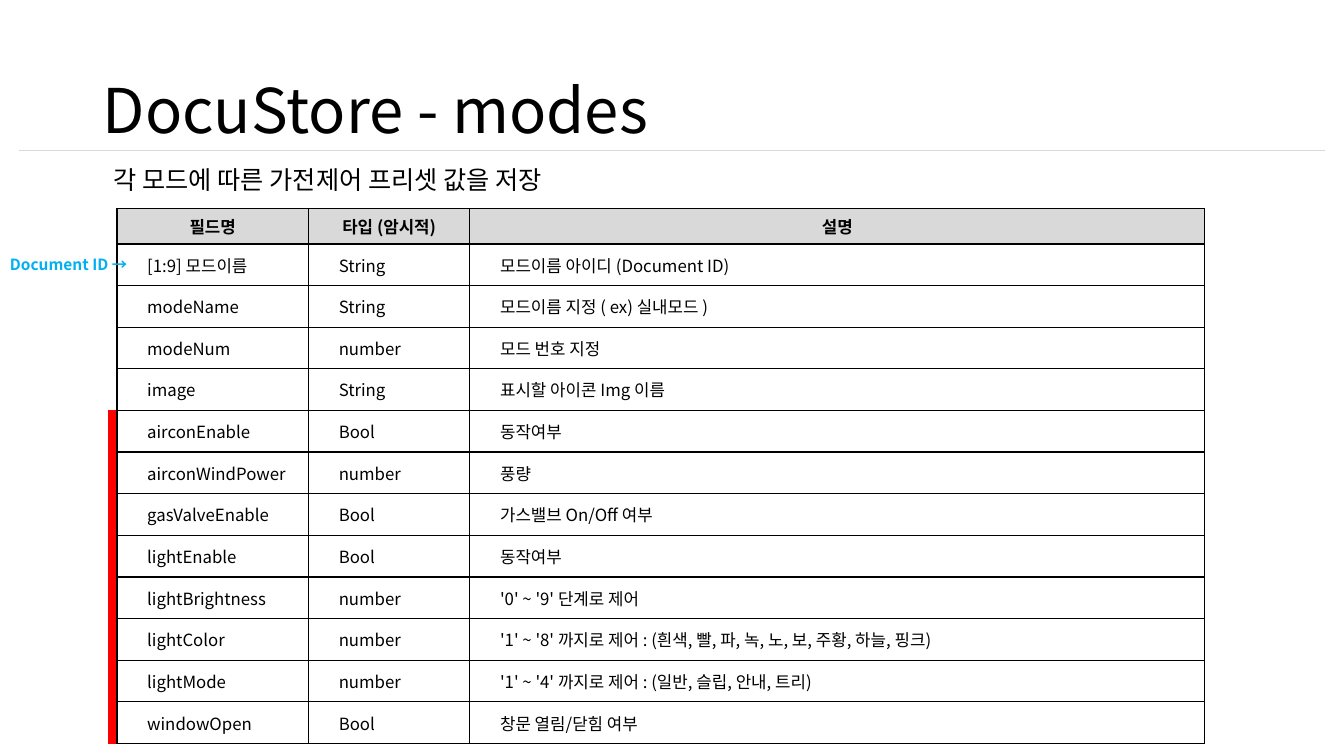
from pptx import Presentation
from pptx.dml.color import RGBColor
from pptx.enum.shapes import MSO_CONNECTOR as Conn
from pptx.enum.text import MSO_ANCHOR as Anchor, MSO_AUTO_SIZE as Auto, PP_ALIGN as Align
from pptx.oxml.ns import qn
from pptx.util import Inches, Pt
from lxml.etree import SubElement as Sub

HEAD = ["필드명", "타입 (암시적)", "설명"]
FIELDS = [
    ["[1:9] 모드이름", "String", "모드이름 아이디 (Document ID)"],
    ["modeName", "String", "모드이름 지정 ( ex) 실내모드 )"],
    ["modeNum", "number", "모드 번호 지정"],
    ["image", "String", "표시할 아이콘 Img 이름"],
    ["airconEnable", "Bool", "동작여부"],
    ["airconWindPower", "number", "풍량"],
    ["gasValveEnable", "Bool", "가스밸브 On/Off 여부"],
    ["lightEnable", "Bool", "동작여부"],
    ["lightBrightness", "number", "'0' ~ '9' 단계로 제어"],
    ["lightColor", "number", "'1' ~ '8' 까지로 제어 : (흰색, 빨, 파, 녹, 노, 보, 주황, 하늘, 핑크)"],
    ["lightMode", "number", "'1' ~ '4' 까지로 제어 : (일반, 슬립, 안내, 트리)"],
    ["windowOpen", "Bool", "창문 열림/닫힘 여부"],
]


def color(code):
    return RGBColor.from_string(code)


class Deck:
    face = "Noto Sans CJK KR"
    ink = "000000"
    gray = "D9D9D9"
    red = "FF0000"
    blue = "00B0F0"

    def __init__(self):
        self.deck = Presentation()
        self.deck.slide_width = Inches(13.33)
        self.deck.slide_height = Inches(7.5)
        self.slide = self.deck.slides.add_slide(self.deck.slide_layouts[6])

    def style(self, frame, text, size, tint=ink, bold=False):
        para = frame.paragraphs[0]
        para.text = text
        for run in para.runs:
            font = run.font
            font.size = Pt(size)
            font.bold = bold
            font.color.rgb = color(tint)
            font.name = self.face
            Sub(font._element, qn("a:ea")).set("typeface", self.face)
        return para

    def text(self, box, text, size, tint=ink, bold=False, wrap=False):
        frame = self.slide.shapes.add_textbox(*map(Inches, box)).text_frame
        frame.word_wrap = wrap
        frame.auto_size = Auto.NONE if wrap else Auto.SHAPE_TO_FIT_TEXT
        para = self.style(frame, text, size, tint, bold)
        return frame, para

    def title(self, box, text):
        frame, para = self.text(box, text, 44, wrap=True)
        frame.vertical_anchor = Anchor.MIDDLE
        para.line_spacing = 0.9

    def line(self, ends, tint, width):
        link = self.slide.shapes.add_connector(Conn.STRAIGHT, *map(Inches, ends))
        link.line.color.rgb = color(tint)
        link.line.width = Pt(width)
        Sub(link._element.spPr, qn("a:effectLst"))

    def edge(self, cell):
        props = cell._tc.get_or_add_tcPr()
        for side in "LRTB":
            rule = Sub(props, qn("a:ln" + side), w=str(Pt(1)))
            fill = Sub(rule, qn("a:solidFill"))
            Sub(fill, qn("a:srgbClr"), val=self.ink)

    def cell(self, cell, text, head):
        cell.vertical_anchor = Anchor.MIDDLE
        self.edge(cell)
        para = self.style(cell.text_frame, text, 12, bold=head)
        if head:
            cell.fill.solid()
            cell.fill.fore_color.rgb = color(self.gray)
            para.alignment = Align.CENTER
        else:
            cell.fill.background()
            para._p.get_or_add_pPr().set("marL", str(Inches(0.2)))

    def table(self, box, cols, top, rows):
        shape = self.slide.shapes.add_table(len(rows), len(cols), *map(Inches, box))
        grid = shape.table
        grid.horz_banding = False
        for col, width in zip(grid.columns, cols):
            col.width = Inches(width)
        step = (box[3] - top) / (len(rows) - 1)
        for i, row in enumerate(rows):
            grid.rows[i].height = Inches(step if i else top)
            for j, text in enumerate(row):
                self.cell(grid.cell(i, j), text, i == 0)

    def save(self):
        self.deck.save("out.pptx")


def main():
    deck = Deck()
    deck.line((0.19, 1.49, 13.14, 1.49), deck.gray, 0.5)
    deck.title((0.92, 0.4, 11.5, 1.45), "DocuStore - modes")
    deck.table((1.16, 2.07, 10.79, 5.31), (1.9, 1.6, 7.29), 0.35, [HEAD] + FIELDS)
    deck.text((1.03, 1.58, 5.03, 0.4), "각 모드에 따른 가전제어 프리셋 값을 저장", 18)
    deck.text((0, 2.48, 1.39, 0.29), "Document ID →", 11, deck.blue, True)
    deck.line((1.11, 4.07, 1.11, 7.38), deck.red, 6)
    deck.save()


if __name__ == "__main__":
    main()
